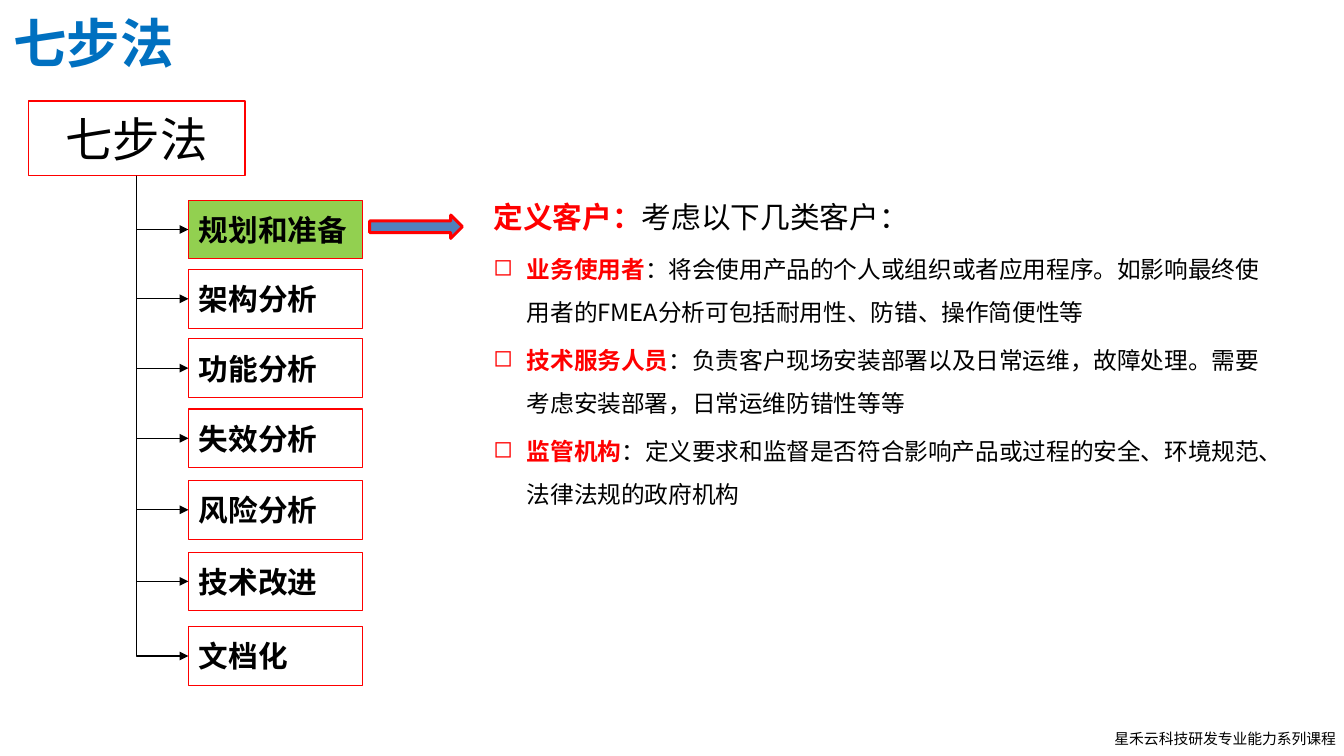
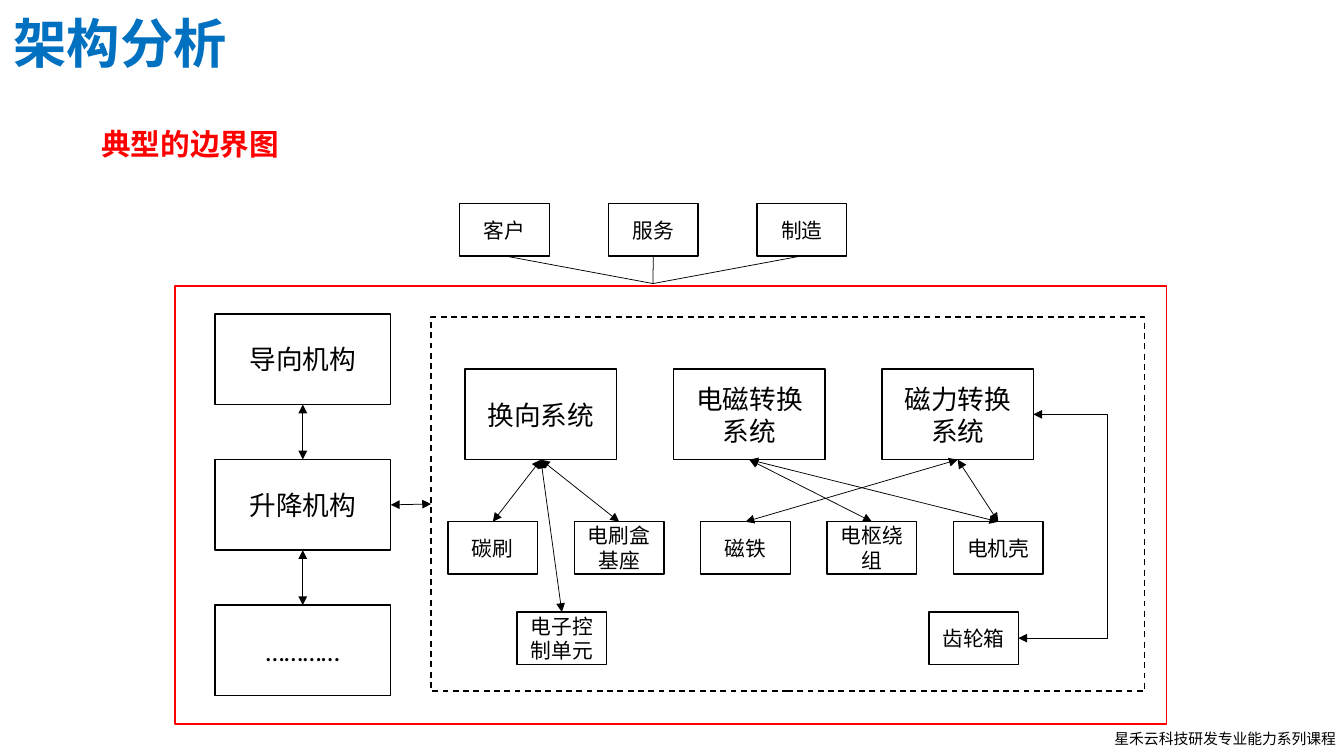
from lxml import etree
from pptx import Presentation
from pptx import util as u
from pptx.dml.color import RGBColor
from pptx.enum import dml, shapes, text
from pptx.oxml import ns

Pt = u.Pt
CJK, LATIN = "Noto Sans CJK SC", "Calibri"
BLUE, RED, BLACK, GREEN, STEEL = "0070C0", "FF0000", "000000", "92D050", "4F81BD"
FOOTER = "星禾云科技研发专业能力系列课程"
TOP, LEFT, BOTTOM, RIGHT = 0, 1, 2, 3
STEPS = ["规划和准备", "架构分析", "功能分析", "失效分析", "风险分析", "技术改进", "文档化"]
STEP_TOPS = [67, 113.8, 160.6, 208, 256.3, 304.6, 355]
CUSTOMERS = [
    ("业务使用者", "：将会使用产品的个人或组织或者应用程序。如影响最终使用者的FMEA分析可包括耐用性、防错、操作简便性等"),
    ("技术服务人员", "：负责客户现场安装部署以及日常运维，故障处理。需要考虑安装部署，日常运维防错性等等"),
    ("监管机构", "：定义要求和监督是否符合影响产品或过程的安全、环境规范、法律法规的政府机构"),
]


def color(hex_value):
    """Turn a hex string into a colour."""
    return RGBColor.from_string(hex_value)


def child(parent, tag, **attrs):
    """Append a drawing element with attributes."""
    el = etree.SubElement(parent, ns.qn(tag))
    for key, value in attrs.items():
        el.set(key, str(value))
    return el


def add_run(p, words, size, ink=BLACK, bold=False, face=CJK):
    """Add a formatted run for Latin and East Asian text."""
    r = p.add_run()
    r.text = words
    for key, value in {"size": Pt(size), "bold": bold, "name": face}.items():
        setattr(r.font, key, value)
    r.font.color.rgb = color(ink)
    child(r._r.get_or_add_rPr(), "a:ea", typeface=face)


def write(sp, words, align=text.PP_ALIGN.LEFT, anchor=text.MSO_ANCHOR.TOP, wrap=True, **fmt):
    """Put one paragraph of text in a shape."""
    tf = sp.text_frame
    values = {"word_wrap": wrap, "vertical_anchor": anchor, "auto_size": text.MSO_AUTO_SIZE.NONE}
    for key, value in values.items():
        setattr(tf, key, value)
    p = tf.paragraphs[0]
    p.alignment = align
    add_run(p, words, **fmt)


def add_text(s, x, y, w, h, words, **fmt):
    """Add a text box with one paragraph."""
    sp = s.shapes.add_textbox(Pt(x), Pt(y), Pt(w), Pt(h))
    write(sp, words, **fmt)
    return sp


def add_box(s, x, y, w, h, line=BLACK, weight=1, fill=None, kind=shapes.MSO_SHAPE.RECTANGLE):
    """Add an outlined preset shape."""
    sp = s.shapes.add_shape(kind, Pt(x), Pt(y), Pt(w), Pt(h))
    sp.shadow.inherit = False
    sp.line.color.rgb = color(line)
    sp.line.width = Pt(weight)
    if fill:
        sp.fill.solid()
        sp.fill.fore_color.rgb = color(fill)
    else:
        sp.fill.background()
    return sp


def add_label(s, x, y, w, h, words, size, align=text.PP_ALIGN.CENTER, face=CJK, bold=False, **look):
    """Add a box with vertically centred text."""
    sp = add_box(s, x, y, w, h, **look)
    write(sp, words, align, text.MSO_ANCHOR.MIDDLE, size=size, face=face, bold=bold)
    return sp


def join(s, start, end, weight=0.5, head=True, tail=True, kind=shapes.MSO_CONNECTOR.STRAIGHT):
    """Connect two (shape, side) pairs, or a pair and an (x, y) point."""
    c = s.shapes.add_connector(kind, Pt(0), Pt(0), Pt(0), Pt(0))
    c.begin_connect(*start)
    if isinstance(end[0], (int, float)):
        c.end_x, c.end_y = Pt(end[0]), Pt(end[1])
    else:
        c.end_connect(*end)
    c.line.color.rgb = color(BLACK)
    c.line.width = Pt(weight)
    ln = c.line._get_or_add_ln()
    for tag, shown in (("a:headEnd", head), ("a:tailEnd", tail)):
        if shown:
            child(ln, tag, type="triangle")
    child(c._element.spPr, "a:effectLst")
    return c


def add_branch(s, root, step):
    """Run a one-bend arrow from the root down to a step's left side."""
    c = join(s, (root, BOTTOM), (step, LEFT), 0.75, head=False, kind=shapes.MSO_CONNECTOR.ELBOW)
    x, y = root.left + root.width // 2, root.top + root.height
    dx, dy = step.left - x, step.top + step.height // 2 - y
    place = {"left": x + (dx - dy) // 2, "top": y + (dy - dx) // 2, "width": dy, "height": dx}
    for key, value in place.items():
        setattr(c, key, value)
    xfrm = c._element.spPr.find(ns.qn("a:xfrm"))
    for key in ("flipH", "flipV"):
        xfrm.attrib.pop(key, None)
    xfrm.set("rot", "16200000")
    xfrm.set("flipH", "1")
    c._element.spPr.find(ns.qn("a:prstGeom")).set("prst", "bentConnector2")


def add_loop(s, upper, lower, bend_x):
    """Join two right sides with an elbow that bends at bend_x."""
    c = join(s, (upper, RIGHT), (lower, RIGHT), kind=shapes.MSO_CONNECTOR.ELBOW)
    ratio = (c.begin_x - Pt(bend_x)) / (c.begin_x - c.end_x)
    geom = c._element.spPr.find(ns.qn("a:prstGeom"))
    guides = geom.find(ns.qn("a:avLst"))
    if guides is None:
        guides = child(geom, "a:avLst")
    child(guides, "a:gd", name="adj1", fmla=f"val {round(ratio * 100000)}")


def add_slide(prs, title):
    """Add a slide with the shared title and footer."""
    s = prs.slides.add_slide(prs.slide_layouts[5])
    sp = s.shapes.title
    for key, value in zip(("left", "top", "width", "height"), (2, 3.6, 357, 51)):
        setattr(sp, key, Pt(value))
    write(sp, title, size=36, ink=BLUE, bold=True)
    footer = add_text(s, 745.2, 489, 162, 19.4, FOOTER, wrap=False, size=10)
    footer.text_frame.margin_right = 0
    return s


def add_step_tree(s, x, y):
    """Draw the seven steps under their root, with the first one active."""
    root = add_label(s, x, y, 146.2, 50.4, "七步法", 32, line=RED, weight=0.75)
    for i, (name, top) in enumerate(zip(STEPS, STEP_TOPS)):
        step = add_label(s, x + 108, y + top, 117.4, 39.6, name, 20, text.PP_ALIGN.LEFT, bold=True,
                         line=RED, weight=0.75, fill=None if i else GREEN)
        add_branch(s, root, step)
    add_box(s, x + 230.4, y + 77, 62.6, 15.8, RED, 2, STEEL, shapes.MSO_SHAPE.RIGHT_ARROW)


def add_customers(s, x, y, w, h):
    """Write the customer definition and its bullets."""
    sp = add_text(s, x, y, w, h, "定义客户：", size=20, ink=RED, bold=True)
    tf = sp.text_frame
    add_run(tf.paragraphs[0], "考虑以下几类客户：", 20)
    tf.paragraphs[0].line_spacing = 1.5
    for name, detail in CUSTOMERS:
        p = tf.add_paragraph()
        p.line_spacing, p.space_before = 1.5, Pt(4)
        pPr = p._p.get_or_add_pPr()
        pPr.set("marL", str(Pt(22.5)))
        pPr.set("indent", str(-Pt(22.5)))
        child(pPr, "a:buChar", char="◻")
        add_run(p, name, 16, RED, True)
        add_run(p, detail, 16)


def add_boundary(s, x, y, w, h):
    """Draw the boundary diagram inside the given frame."""
    def row(names, left, top, step, size, width, height):
        return [add_label(s, x + left + step * i, y + top, width, height, name, size, face=LATIN)
                for i, name in enumerate(names)]

    small = (14, 60.5, 35.3)
    add_box(s, x, y, w, h, RED)
    motor = add_box(s, x + 173, y + 21, 481.7, 252.7)
    motor.line.dash_style = dml.MSO_LINE.DASH
    guide, lift, other = [row([name], 27, 19 + 98.3 * i, 0, 18, 118.8, 61.2)[0]
                          for i, name in enumerate(["导向机构", "升降机构", "…………"])]
    commutator, electric, magnetic = row(["换向系统", "电磁转换系统", "磁力转换系统"],
                                         196, 56.2, 140.7, 18, 102.2, 61.2)
    brush, holder, magnet, winding, shell = row(["碳刷", "电刷盒基座", "磁铁", "电枢绕组", "电机壳"],
                                                184.4, 159.3, 85.3, *small)
    control, gearbox = row(["电子控制单元", "齿轮箱"], 231, 220.3, 278, *small)
    for party in row(["客户", "服务", "制造"], 192.3, -55.5, 100.4, *small):
        join(s, (party, BOTTOM), (x + 322.8, y - 1.5), head=False, tail=False)
    links = [(guide, lift), (lift, other), (commutator, brush), (commutator, control),
             (commutator, holder), (electric, winding), (electric, shell),
             (magnetic, magnet), (magnetic, shell)]
    for upper, lower in links:
        join(s, (upper, BOTTOM), (lower, TOP))
    join(s, (lift, RIGHT), (motor, LEFT))
    add_loop(s, magnetic, gearbox, x + 629.4)


def main():
    """Build and save the two slides."""
    prs = Presentation()
    prs.slide_width, prs.slide_height = Pt(907.2), Pt(510.5)
    s = add_slide(prs, "七步法")
    add_step_tree(s, 19.2, 68.2)
    add_customers(s, 326, 119, 536.5, 237.6)
    s = add_slide(prs, "架构分析")
    add_boundary(s, 118, 193, 669.6, 296)
    add_text(s, 52.5, 81.4, 152, 31.7, "典型的边界图", align=text.PP_ALIGN.CENTER,
             size=20, ink=RED, bold=True)
    prs.save("out.pptx")


if __name__ == "__main__":
    main()
